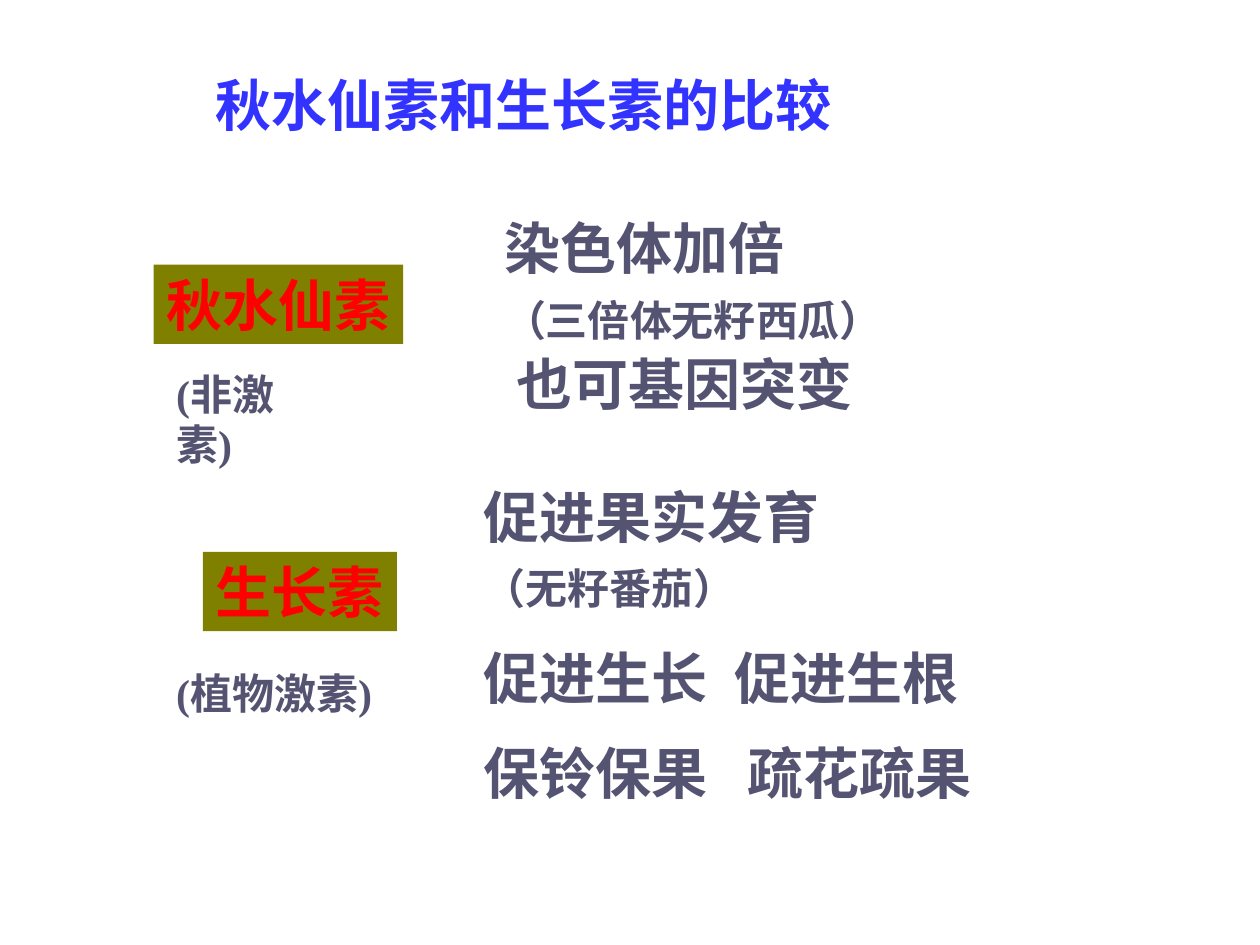
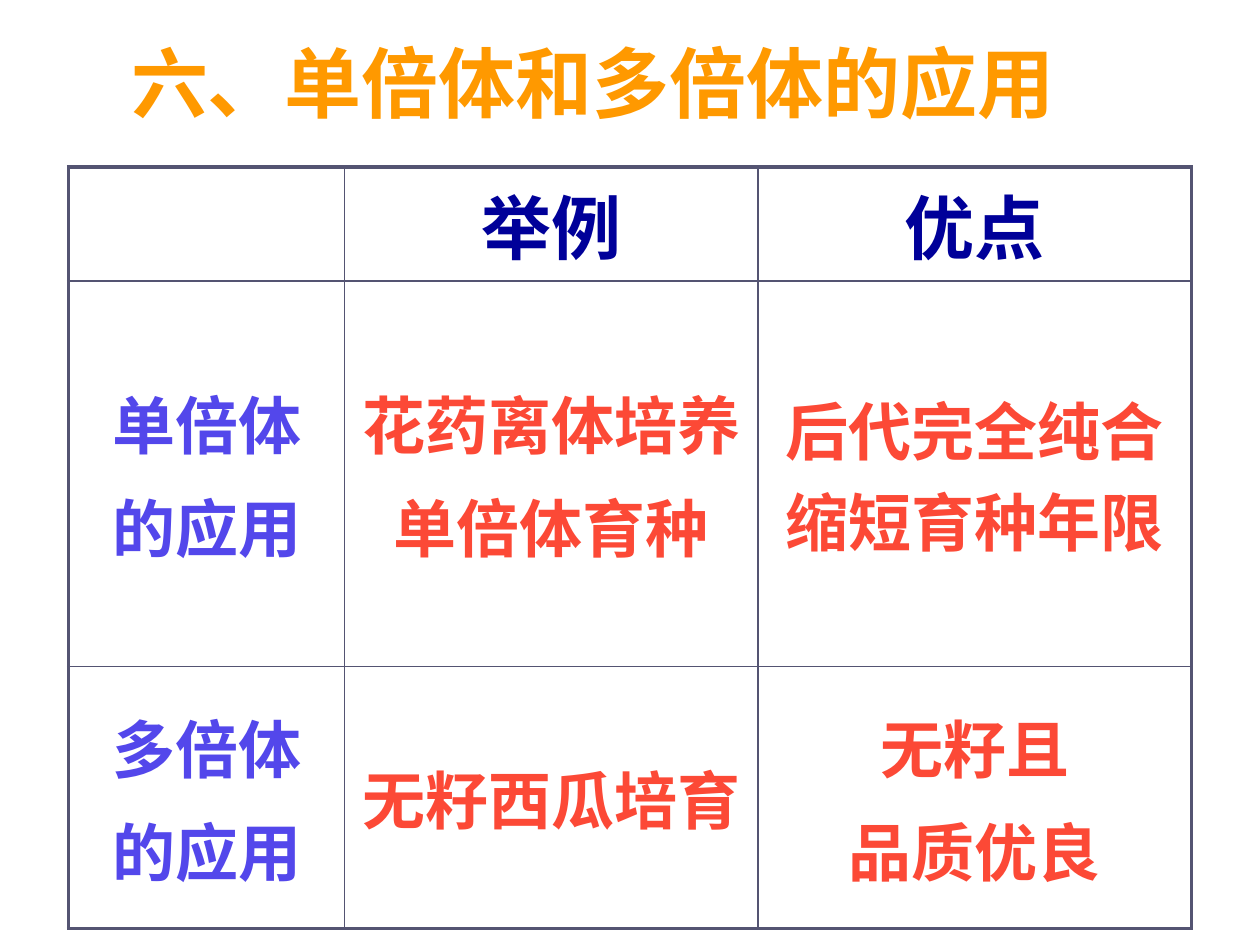
from lxml import etree
from pptx import Presentation
from pptx.dml.color import RGBColor
from pptx.enum.shapes import MSO_SHAPE
from pptx.enum.text import MSO_ANCHOR, MSO_AUTO_SIZE, PP_ALIGN
from pptx.oxml.ns import qn
from pptx.util import Emu, Inches, Pt

LEFT, CENTER = PP_ALIGN.LEFT, PP_ALIGN.CENTER
TOP, MIDDLE = MSO_ANCHOR.TOP, MSO_ANCHOR.MIDDLE
NO_FIT, RECTANGLE = MSO_AUTO_SIZE.NONE, MSO_SHAPE.RECTANGLE
TWO_CONTENT, TITLE_ONLY = 3, 5

SERIF, SANS = "Times New Roman", "Noto Sans CJK SC"
SLATE, RED, OLIVE, WHITE = "545472", "FF0000", "808000", "FFFFFF"
hue = RGBColor.from_string

deck = Presentation()
deck.slide_width, deck.slide_height = Inches(10), Inches(7.5)


def place(shape, left, top, width, height):
    """Position a shape by percentages of the slide's width and height."""
    across, down = deck.slide_width / 100, deck.slide_height / 100
    shape.left, shape.width = Emu(round(left * across)), Emu(round(width * across))
    shape.top, shape.height = Emu(round(top * down)), Emu(round(height * down))


def write(frame, lines, color=SLATE, size=32, name=SERIF, align=LEFT,
          anchor=TOP, gap=0, pitch=None):
    """Fill a text frame; a line is a string or a dict with its own values."""
    frame.word_wrap, frame.vertical_anchor = True, anchor
    for number, line in enumerate(lines):
        line = line if isinstance(line, dict) else {"text": line}
        para = frame.paragraphs[0] if number == 0 else frame.add_paragraph()
        props = para._p.get_or_add_pPr()
        props.set("marL", str(Inches(line.get("indent", 0))))
        props.set("indent", "0")
        etree.SubElement(props, qn("a:buNone"))
        para.alignment = align
        para.space_before = Pt(line.get("gap", gap) if number else 0)
        spacing = line.get("pitch", pitch)
        if spacing:
            para.line_spacing = Pt(spacing)
        look = {"name": name, "size": Pt(line.get("size", size)), "bold": True}
        for piece in filter(None, line["text"].partition(" ")):
            span = para.add_run()
            span.text = piece
            span.font.color.rgb = hue(color)
            for key, value in look.items():
                setattr(span.font, key, value)
            run_props = span._r.get_or_add_rPr()
            etree.SubElement(run_props, qn("a:ea"), typeface=SANS)
            if piece == " ":
                run_props.set("spc", str(line["stretch"] * 100))


# Slide 1: colchicine compared with auxin
page = deck.slides.add_slide(deck.slide_layouts[TWO_CONTENT])
title, *effects = page.placeholders
place(title, 16.1, 6.9, 58.3, 8.4)
title.text_frame.auto_size = NO_FIT
write(title.text_frame, ["秋水仙素和生长素的比较"], color="3333FF", pitch=38)

# Effects of each substance
effect_lists = [
    ((39, 21.8, 33.9, 22.7), [
        {"text": "染色体加倍", "pitch": 39},
        {"text": "（三倍体无籽西瓜）", "size": 24, "pitch": 37},
        {"text": "也可基因突变", "indent": 0.1, "pitch": 41}]),
    ((37.4, 50.5, 42.3, 37.2), [
        {"text": "促进果实发育", "pitch": 38},
        {"text": "（无籽番茄）", "size": 24, "pitch": 36},
        {"text": "促进生长 促进生根", "stretch": 8, "pitch": 40, "gap": 16},
        {"text": "保铃保果 疏花疏果", "stretch": 15, "pitch": 38, "gap": 16}]),
]
for body, (spot, lines) in zip(effects, effect_lists):
    place(body, *spot)
    body.text_frame.auto_size = NO_FIT
    write(body.text_frame, lines)

# Substance names on olive plates, each with its kind below
plates = [("秋水仙素", (12.2, 28, 19.8, 8.4)), ("生长素", (16.1, 58.4, 15.4, 8.4))]
for text, spot in plates:
    plate = page.shapes.add_shape(RECTANGLE, 0, 0, 0, 0)
    place(plate, *spot)
    plate.shadow.inherit = False
    plate.fill.solid()
    plate.fill.fore_color.rgb = hue(OLIVE)
    plate.line.fill.background()
    write(plate.text_frame, [text], color=RED, pitch=38)
    plate.text_frame.word_wrap = False

kinds = [("(非激素)", (13, 38.4, 13.5, 11)), ("(植物激素)", (13, 70, 20.5, 6.7))]
for text, spot in kinds:
    box = page.shapes.add_textbox(0, 0, 0, 0)
    place(box, *spot)
    write(box.text_frame, [text], size=24, pitch=28.5)

# Slide 2: uses of haploids and polyploids
page = deck.slides.add_slide(deck.slide_layouts[TITLE_ONLY])
title = page.shapes.title
place(title, 7.5, 3.07, 79.2, 9.87)
title.fill.solid()
title.fill.fore_color.rgb = hue(WHITE)
title.text_frame.auto_size = NO_FIT
title.text_frame.margin_top = Inches(0.14)
write(title.text_frame, ["六、单倍体和多倍体的应用"], color="FF9900", size=44,
      name=SANS, align=CENTER, anchor=MIDDLE)

HEAD = {"color": "000099", "size": 40, "name": "Lato", "gap": 8}
SIDE = {"color": "5347EB", "size": 36, "name": SANS, "gap": 7.2}
ENTRY = {**SIDE, "color": "FC4936"}
rows = [
    [[], ["举例"], ["优点"]],
    [["单倍体", "的应用"], ["花药离体培养", "单倍体育种"], ["后代完全纯合缩短育种年限"]],
    [["多倍体", "的应用"], ["无籽西瓜培育"], ["无籽且", "品质优良"]],
]
widths, heights = [2.19, 3.28, 3.44], [0.9, 3.06, 2.08]
frame = page.shapes.add_table(len(rows), len(widths), 0, 0, 0, 0)
place(frame, 5.45, 17.67, 89.1, 80.5)
table = frame.table
table.first_row = table.horz_banding = False
for column, width in zip(table.columns, widths):
    column.width = Inches(width)
for row, height in zip(table.rows, heights):
    row.height = Inches(height)

# Cells: thick outer border, thin inner lines
last_row, last_column = len(rows) - 1, len(widths) - 1
for r, row in enumerate(rows):
    for c, lines in enumerate(row):
        cell = table.cell(r, c)
        look = HEAD if r == 0 else SIDE if c == 0 else ENTRY
        write(cell.text_frame, lines, align=CENTER, **look)
        cell.vertical_anchor = MIDDLE
        props = cell._tc.get_or_add_tcPr()
        edges = {"L": c == 0, "R": c == last_column, "T": r == 0, "B": r == last_row}
        for side, outer in edges.items():
            border = etree.SubElement(props, qn(f"a:ln{side}"), w=str(Pt(2.25 if outer else 1)))
            paint = etree.SubElement(border, qn("a:solidFill"))
            etree.SubElement(paint, qn("a:srgbClr"), val=SLATE)
        cell.fill.solid()
        cell.fill.fore_color.rgb = hue(WHITE)

deck.save("out.pptx")
